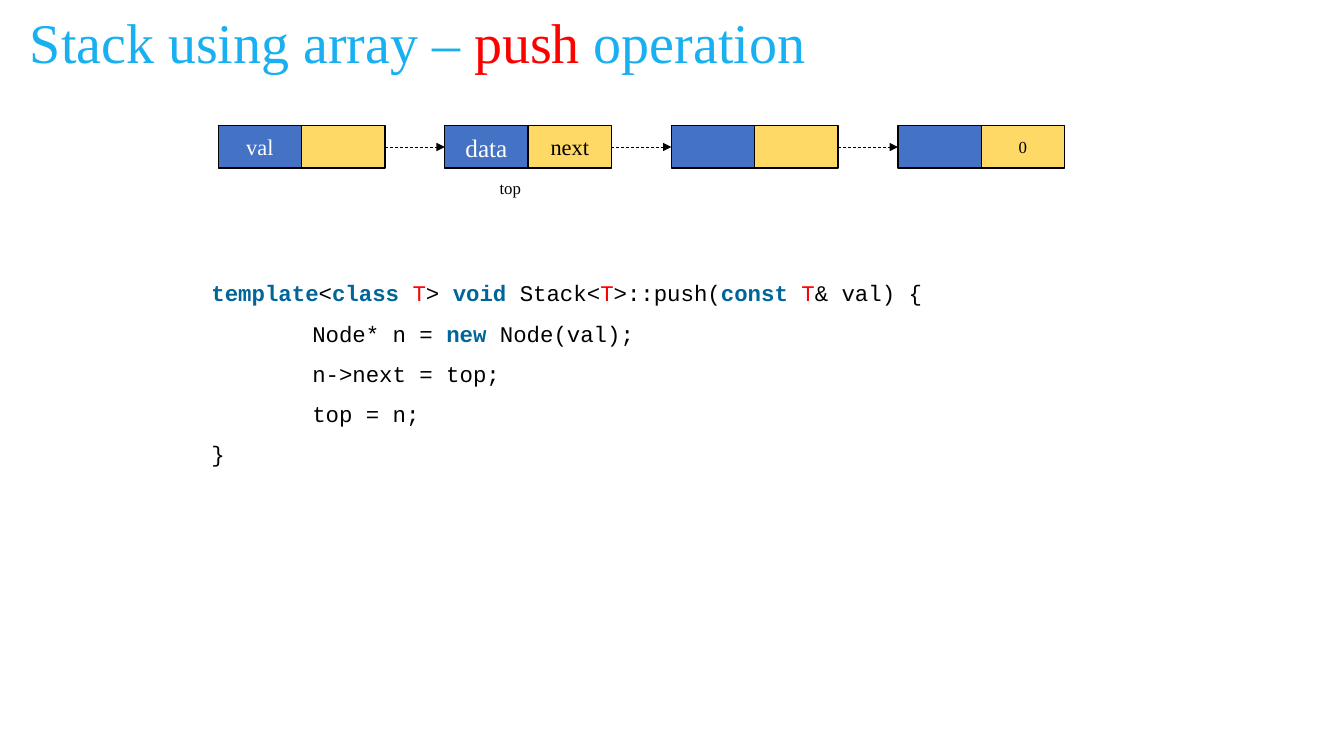
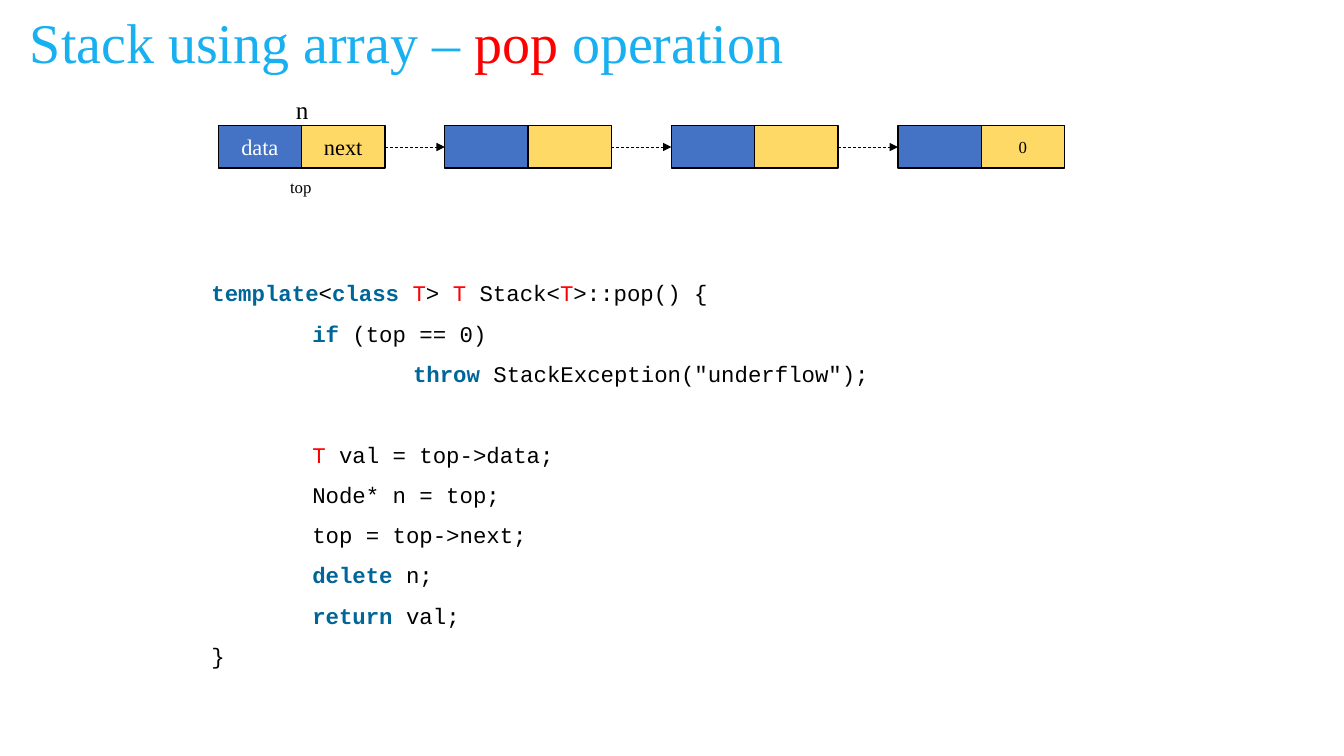
import pptx
import pptx.util
import pptx.dml.color
import pptx.enum.dml
import pptx.enum.shapes
import pptx.enum.text
import lxml.etree
from pptx.util import Cm

SERIF, MONO = "Times New Roman", "Courier New"
SKY, RED, KEYWORD = "18B0F0", "FF0000", "006699"
BLACK, WHITE, BLUE, YELLOW = "000000", "FFFFFF", "4472C4", "FFD966"

NODE_LEFT, NODE_TOP, NODE_PITCH = 5.5, 3.17, 5.71
CELL_WIDTH, CELL_HEIGHT = 2.1, 1.07
INDENT = 2.54
CODE_LINE_POINTS = 28.8

STYLES = {"plain": (BLACK, False), "key": (KEYWORD, True), "type": (RED, False)}
HEADER = [("template", "key"), ("<", "plain"), ("class ", "key"), ("T", "type"), ("> ", "plain")]

SLIDES = [
    {
        "operation": "push",
        "nodes": [
            [("val", 16), None],
            [("data", 18), ("next", 16)],
            [None, None],
            [None, ("0", 12)],
        ],
        "labels": [("top", 12, 12.34, 4.35, 1.12, 0.76)],
        "code_height": 5.38,
        "code": [
            (0, 0, HEADER + [("void", "key"), (" Stack<", "plain"), ("T", "type"),
                             (">::push(", "plain"), ("const ", "key"), ("T", "type"),
                             ("& val) {", "plain")]),
            (1, 0, [("Node* n = ", "plain"), ("new", "key"), (" Node(val);", "plain")]),
            (1, 0, [("n->next = top;", "plain")]),
            (1, 0, [("top = n;", "plain")]),
            (0, 0, [("}", "plain")]),
        ],
    },
    {
        "operation": "pop",
        "nodes": [
            [("data", 16), ("next", 16)],
            [None, None],
            [None, None],
            [None, ("0", 12)],
        ],
        "labels": [("top", 12, 7.06, 4.34, 1.12, 0.76), ("n", 18, 7.21, 2.26, 0.84, 1.02)],
        "code_height": 10.52,
        "code": [
            (0, 0, HEADER + [("T ", "type"), ("Stack<", "plain"), ("T", "type"),
                             (">::pop() {", "plain")]),
            (1, 0, [("if", "key"), (" (top == 0)", "plain")]),
            (2, 0, [("throw ", "key"), ('StackException("underflow");', "plain")]),
            (1, 1, [("T ", "type"), ("val = top->data;", "plain")]),
            (1, 0, [("Node* n = top;", "plain")]),
            (1, 0, [("top = top->next;", "plain")]),
            (1, 0, [("delete", "key"), (" n;", "plain")]),
            (1, 0, [("return ", "key"), ("val;", "plain")]),
            (0, 0, [("}", "plain")]),
        ],
    },
]


def color(value):
    return pptx.dml.color.RGBColor.from_string(value)


def add_span(para, text, size, font, value, bold=False):
    span = para.add_run()
    span.text = text
    span.font.size = pptx.util.Pt(size)
    span.font.name = font
    span.font.bold = bold
    span.font.color.rgb = color(value)


def add_title(page, operation):
    frame = page.shapes.title.text_frame
    frame.vertical_anchor = pptx.enum.text.MSO_ANCHOR.MIDDLE
    frame.auto_size = pptx.enum.text.MSO_AUTO_SIZE.NONE
    para = frame.paragraphs[0]
    para.alignment = pptx.enum.text.PP_ALIGN.LEFT
    para.line_spacing = 0.9
    for text, value in (("Stack using array – ", SKY), (operation, RED), (" operation", SKY)):
        add_span(para, text, 40, SERIF, value)


def add_node(page, index, cells):
    group = page.shapes.add_group_shape()
    boxes = []
    for column, (cell, fill, ink) in enumerate(zip(cells, (BLUE, YELLOW), (WHITE, BLACK))):
        left = NODE_LEFT + index * NODE_PITCH + column * CELL_WIDTH
        box = group.shapes.add_shape(pptx.enum.shapes.MSO_SHAPE.RECTANGLE, Cm(left),
                                     Cm(NODE_TOP), Cm(CELL_WIDTH), Cm(CELL_HEIGHT))
        box.shadow.inherit = False
        box.fill.solid()
        box.fill.fore_color.rgb = color(fill)
        box.line.color.rgb = color(BLACK)
        box.line.width = pptx.util.Pt(1)
        if cell:
            box.text_frame.vertical_anchor = pptx.enum.text.MSO_ANCHOR.MIDDLE
            para = box.text_frame.paragraphs[0]
            para.alignment = pptx.enum.text.PP_ALIGN.CENTER
            add_span(para, cell[0], cell[1], SERIF, ink)
        boxes.append(box)
    return boxes


def add_arrow(page, start, end):
    arrow = page.shapes.add_connector(pptx.enum.shapes.MSO_CONNECTOR.STRAIGHT, 0, 0, 0, 0)
    arrow.begin_connect(start, 3)
    arrow.end_connect(end, 1)
    arrow.line.color.rgb = color(BLACK)
    arrow.line.width = pptx.util.Pt(0.5)
    arrow.line.dash_style = pptx.enum.dml.MSO_LINE.DASH
    properties = arrow._element.spPr
    outline = properties.find(pptx.oxml.ns.qn("a:ln"))
    lxml.etree.SubElement(outline, pptx.oxml.ns.qn("a:tailEnd"), type="triangle")
    lxml.etree.SubElement(properties, pptx.oxml.ns.qn("a:effectLst"))


def add_label(page, text, size, left, top, width, height):
    box = page.shapes.add_textbox(Cm(left), Cm(top), Cm(width), Cm(height))
    box.text_frame.word_wrap = False
    add_span(box.text_frame.paragraphs[0], text, size, SERIF, BLACK)


def add_code(page, lines, height):
    box = page.shapes.add_textbox(Cm(5.08), Cm(6.58), Cm(23.39), Cm(height))
    frame = box.text_frame
    frame.word_wrap = True
    for number, (level, gap, spans) in enumerate(lines):
        para = frame.add_paragraph() if number else frame.paragraphs[0]
        para.line_spacing = 1.5
        para.space_before = pptx.util.Pt(gap * CODE_LINE_POINTS)
        para._p.get_or_add_pPr().set("marL", str(Cm(level * INDENT)))
        for text, style in spans:
            value, bold = STYLES[style]
            add_span(para, text, 16, MONO, value, bold)


def main():
    deck = pptx.Presentation()
    deck.slide_width, deck.slide_height = Cm(33.87), Cm(19.05)
    layout = deck.slide_layouts[5]
    title = layout.placeholders[0]
    title.left, title.top, title.width, title.height = Cm(0.5), Cm(0.33), Cm(27.84), Cm(1.65)
    for content in SLIDES:
        page = deck.slides.add_slide(layout)
        add_title(page, content["operation"])
        add_code(page, content["code"], content["code_height"])
        nodes = [add_node(page, index, cells) for index, cells in enumerate(content["nodes"])]
        for before, after in zip(nodes, nodes[1:]):
            add_arrow(page, before[1], after[0])
        for label in content["labels"]:
            add_label(page, *label)
    deck.save("out.pptx")


if __name__ == "__main__":
    main()
